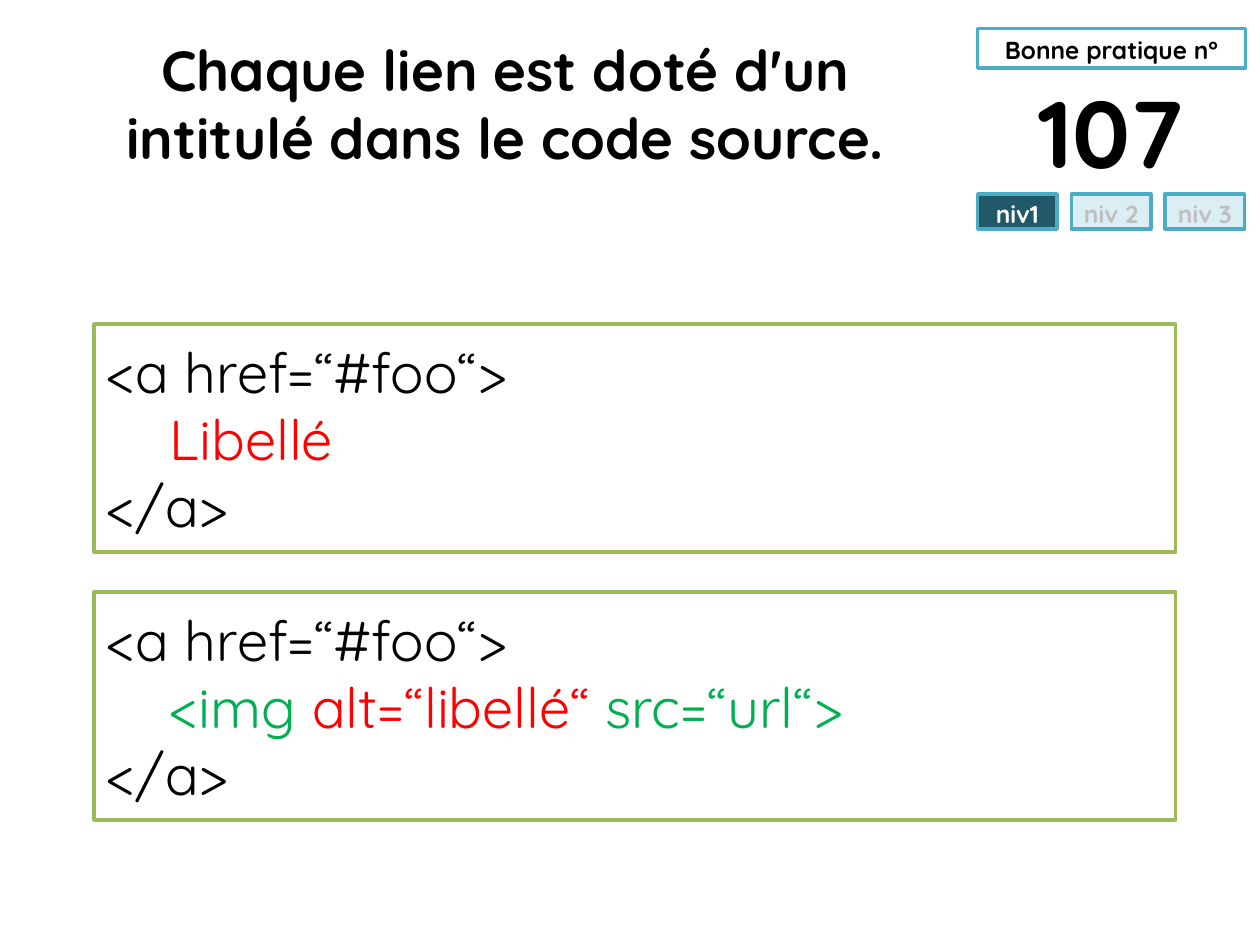
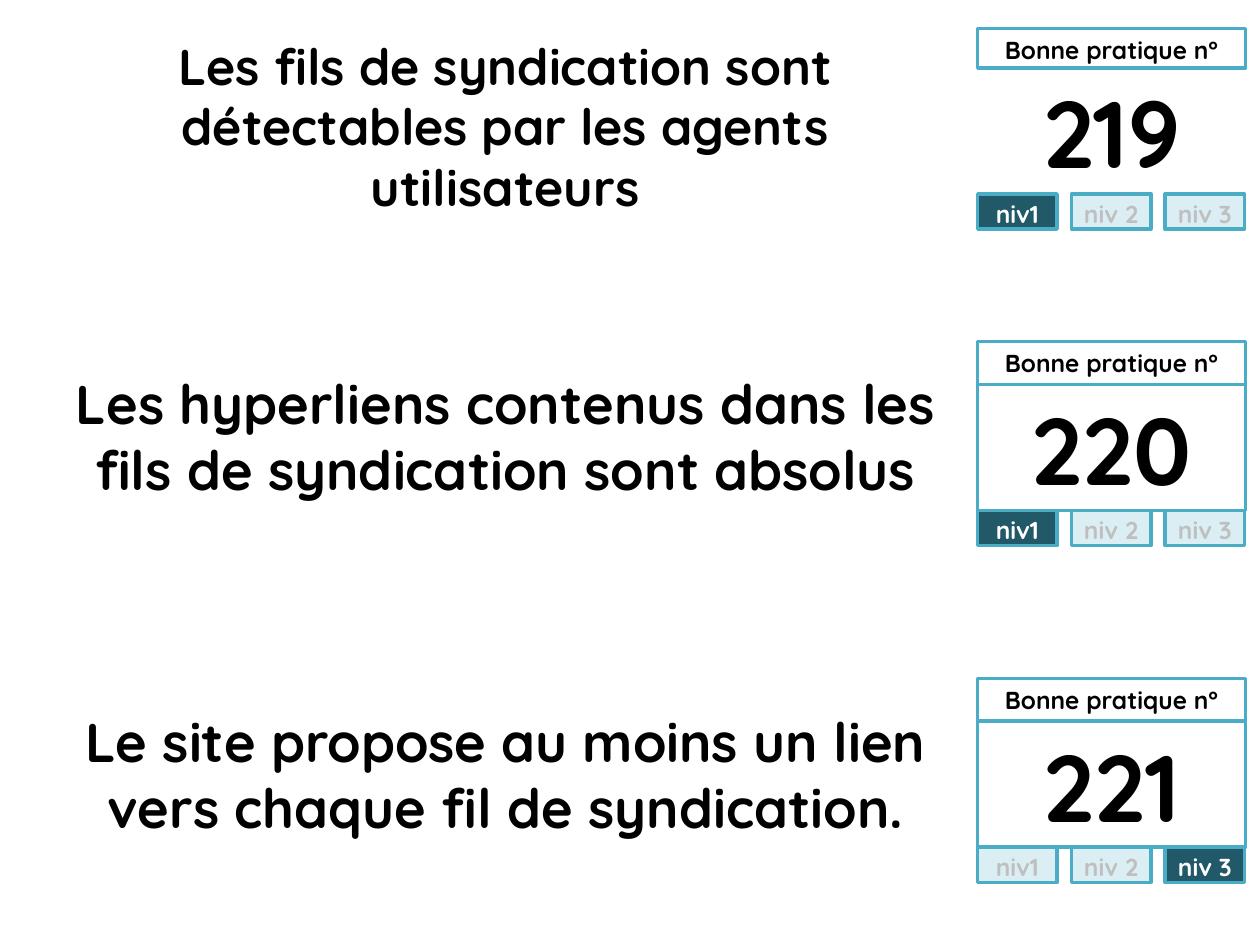
"""Build two slides presenting numbered web quality practices and their levels."""
from pptx import Presentation
from pptx.dml.color import RGBColor
from pptx.enum.shapes import MSO_SHAPE
from pptx.enum.text import MSO_ANCHOR, MSO_AUTO_SIZE, PP_ALIGN
from pptx.util import Cm, Pt

RECTANGLE = MSO_SHAPE.RECTANGLE
TOP, MIDDLE = MSO_ANCHOR.TOP, MSO_ANCHOR.MIDDLE
LEFT, CENTER = PP_ALIGN.LEFT, PP_ALIGN.CENTER
NO_AUTOFIT = MSO_AUTO_SIZE.NONE

FONT = "Quicksand"
BLACK, WHITE, RED, GREEN = "000000", "FFFFFF", "FF0000", "00B050"
TEAL, DARK_TEAL, PALE_TEAL, GREY, OLIVE = "4BACC6", "215968", "DBEEF4", "BFBFBF", "9BBB59"

RULE_LEFT, RULE_WIDTH = 1.27, 17.83
BADGE_LEFT, BADGE_WIDTH, NUMBER_HEIGHT = 19.71, 5.4, 2.54
LEVEL_WIDTH, LEVEL_HEIGHT, LEVEL_STEP = 1.6, 0.71, 1.89
LEVELS = ["niv1", "niv 2", "niv 3"]


def colour(value):
    """Turn a hex string into a colour."""
    return RGBColor.from_string(value)


def write(box, lines, size, bold=True, align=CENTER, anchor=TOP, margin=None,
          color=BLACK, fill=None, line=None):
    """Fill a box with lines of (text, colour) spans, or with one plain string."""
    if fill:
        box.fill.solid()
        box.fill.fore_color.rgb = colour(fill)
        box.shadow.inherit = False
        if line:
            box.line.color.rgb = colour(line)
            box.line.width = Pt(2)
        else:
            box.line.fill.background()
    frame = box.text_frame
    frame.word_wrap = True
    frame.auto_size = NO_AUTOFIT
    frame.vertical_anchor = anchor
    if margin is not None:
        frame.margin_left = frame.margin_right = Cm(margin)
        frame.margin_top = frame.margin_bottom = Cm(margin)
    if isinstance(lines, str):
        lines = [[(lines, color)]]
    for index, spans in enumerate(lines):
        para = frame.add_paragraph() if index else frame.paragraphs[0]
        para.alignment = align
        for text, span_color in spans:
            span = para.add_run()
            span.text = text
            span.font.name = FONT
            span.font.size = Pt(size)
            span.font.bold = bold
            span.font.color.rgb = colour(span_color)


deck = Presentation()
deck.slide_width, deck.slide_height = Cm(25.4), Cm(19.05)
title_only = deck.slide_layouts[5]

# Each rule: text, size, top, height, number, number top, header height, active level, frame
pages = [
    [("Chaque lien est doté d'un intitulé dans le code source.", 32.4, 0.58, 3.18,
      "107", 1.37, 0.79, 0, None)],
    [("Les fils de syndication sont détectables par les agents utilisateurs", 28.8, 0.58, 3.18,
      "219", 1.37, 0.79, 0, None),
     ("Les hyperliens contenus dans les fils de syndication sont absolus", 31.2, 7.34, 3.78,
      "220", 7.75, 0.86, 0, TEAL),
     ("Le site propose au moins un lien vers chaque fil de syndication.", 31.2, 14.15, 2.97,
      "221", 14.54, 0.86, 2, TEAL)],
]

for rules in pages:
    page = deck.slides.add_slide(title_only)
    for position, rule in enumerate(rules):
        text, size, top, height, number, number_top, header_height, active, frame_line = rule
        place = Cm(RULE_LEFT), Cm(top), Cm(RULE_WIDTH), Cm(height)
        if position == 0:
            rule_box = page.shapes.title
            rule_box.left, rule_box.top, rule_box.width, rule_box.height = place
        else:
            rule_box = page.shapes.add_textbox(*place)
        write(rule_box, text, size)

        number_box = page.shapes.add_shape(
            RECTANGLE, Cm(BADGE_LEFT), Cm(number_top), Cm(BADGE_WIDTH), Cm(NUMBER_HEIGHT))
        write(number_box, number, 54, anchor=MIDDLE, fill=WHITE, line=frame_line)
        header = page.shapes.add_shape(
            RECTANGLE, Cm(BADGE_LEFT), Cm(number_top - header_height),
            Cm(BADGE_WIDTH), Cm(header_height))
        write(header, "Bonne pratique n°", 14, fill=WHITE, line=TEAL)
        for index, level in enumerate(LEVELS):
            level_box = page.shapes.add_shape(
                RECTANGLE, Cm(BADGE_LEFT + index * LEVEL_STEP), Cm(number_top + NUMBER_HEIGHT),
                Cm(LEVEL_WIDTH), Cm(LEVEL_HEIGHT))
            write(level_box, level, 14, margin=0.1, line=TEAL,
                  color=WHITE if index == active else GREY,
                  fill=DARK_TEAL if index == active else PALE_TEAL)

link_contents = [
    [("\tLibellé", RED)],
    [("\t<img ", GREEN), ("alt=“libellé“ ", RED), ("src=“url“>", GREEN)],
]
for index, content in enumerate(link_contents):
    code_box = deck.slides[0].shapes.add_shape(
        RECTANGLE, Cm(1.9), Cm(6.53 + index * 5.4), Cm(21.8), Cm(4.6))
    write(code_box, [[("<a href=“#foo“>", BLACK)], content, [("</a>", BLACK)]], 32,
          bold=False, align=LEFT, anchor=MIDDLE, fill=WHITE, line=OLIVE)

deck.save("out.pptx")
